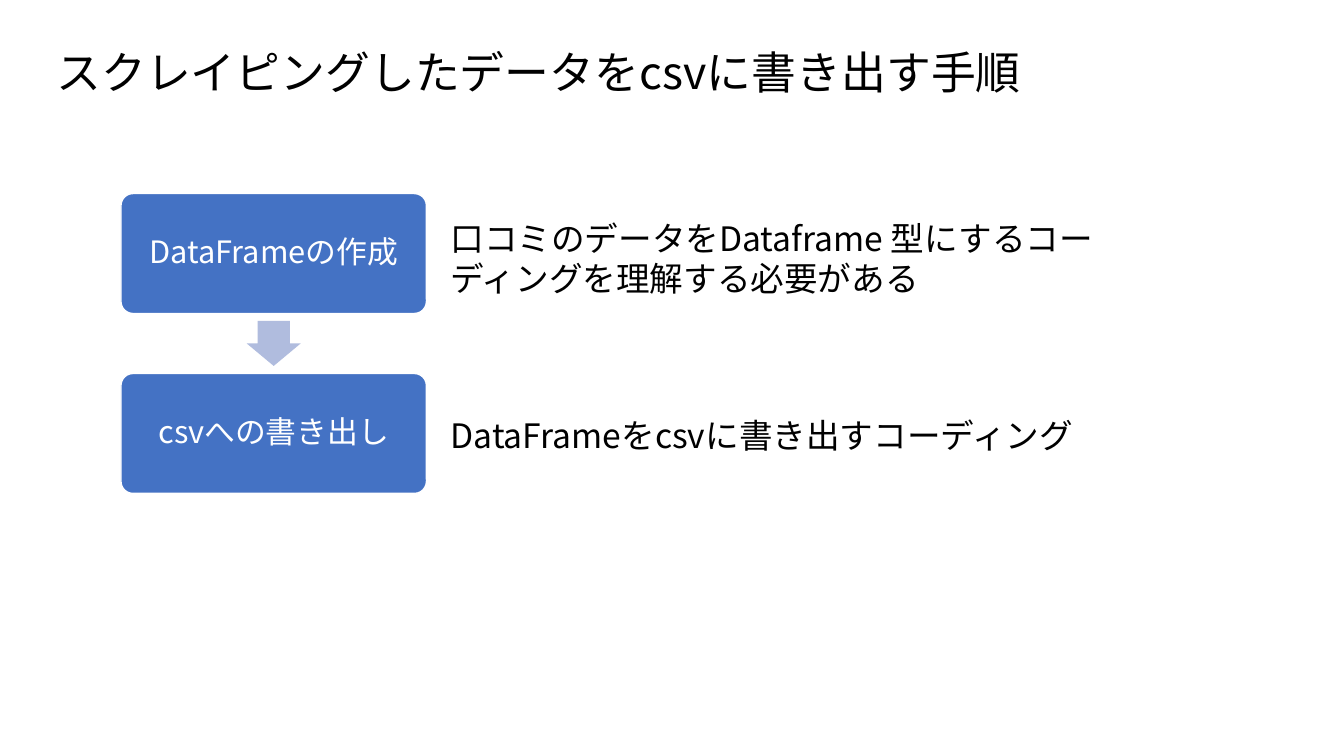
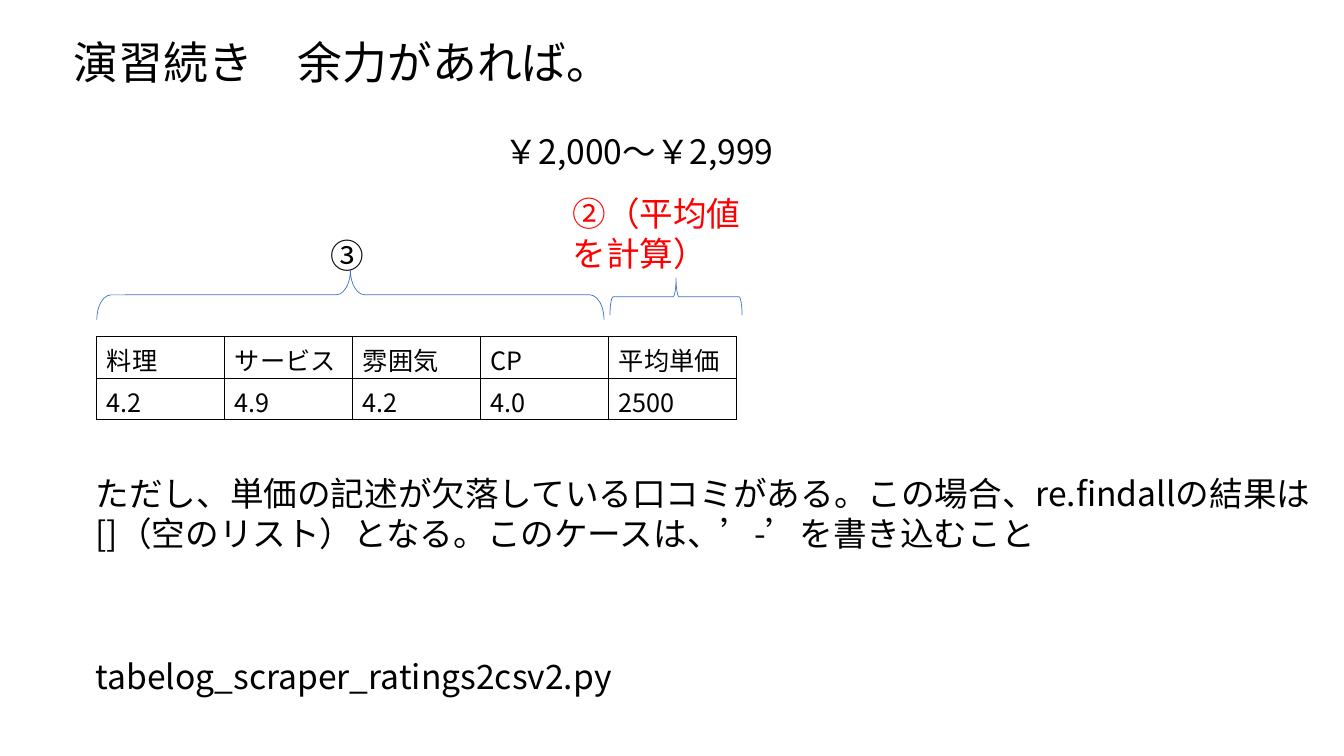
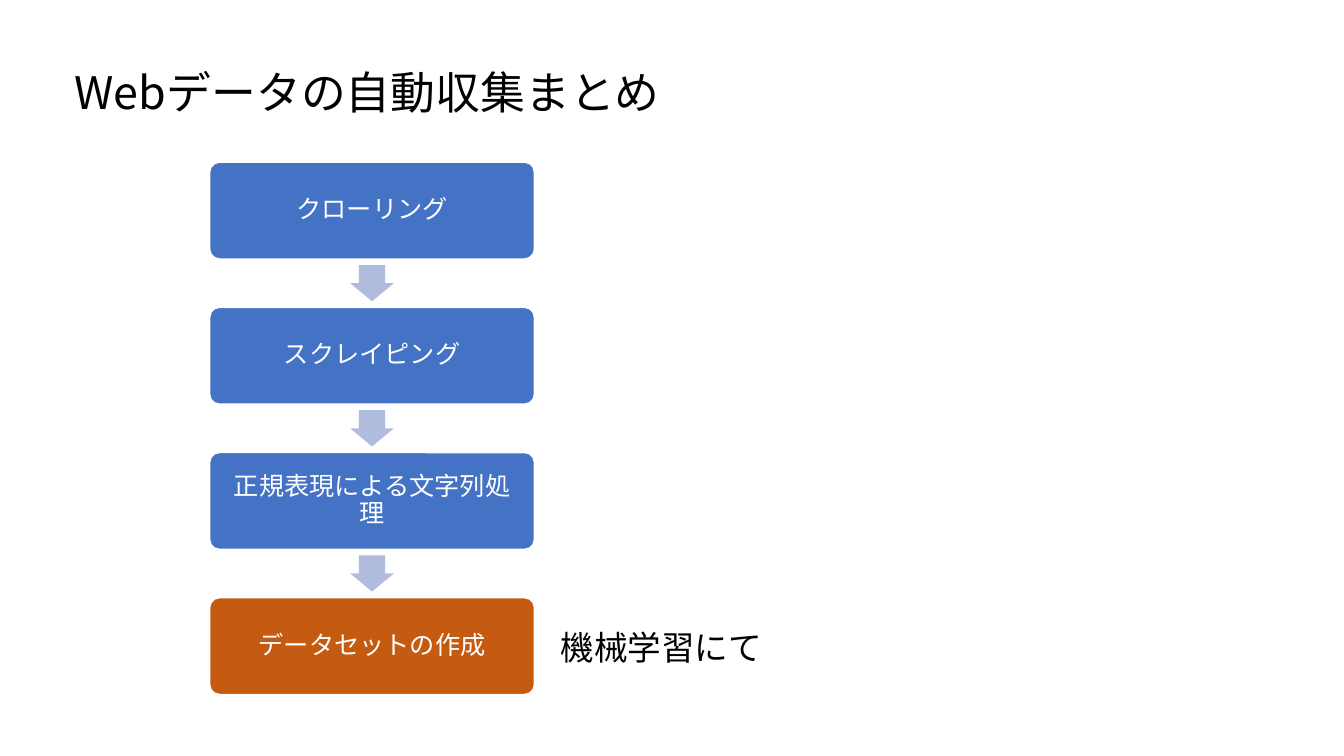
from dataclasses import dataclass

from lxml.etree import SubElement
from pptx import Presentation
from pptx.dml.color import RGBColor
from pptx.enum.shapes import MSO_SHAPE
from pptx.enum.text import MSO_ANCHOR, MSO_AUTO_SIZE, PP_ALIGN
from pptx.oxml.ns import qn
from pptx.util import Inches, Pt


@dataclass(frozen=True)
class Theme:
    font: str = "Noto Sans CJK JP"
    ink: str = "000000"
    paper: str = "FFFFFF"
    step: str = "4472C4"
    final_step: str = "C55A11"
    arrow: str = "B0BCDE"
    accent: str = "FF0000"
    title_size: int = 32
    note_size: int = 24
    table_size: int = 18


def assign(target, values):
    for name, value in values.items():
        setattr(target, name, value)


class Deck:
    def __init__(self, theme):
        self.theme = theme
        self.presentation = Presentation()
        self.presentation.slide_width = Inches(13.33)
        self.presentation.slide_height = Inches(7.5)
        self.slide = None

    def fill_text(self, frame, text, size, color, **paragraph_format):
        frame.text = text
        for paragraph in frame.paragraphs:
            assign(paragraph, paragraph_format)
            for run in paragraph.runs:
                assign(run.font, {"name": self.theme.font, "size": Pt(size), "bold": False})
                run.font.color.rgb = RGBColor.from_string(color)
                east_asian = SubElement(run.font._element, qn("a:ea"))
                east_asian.set("typeface", self.theme.font)

    def text_block(self, holder, text, size, color):
        frame = holder.text_frame
        self.fill_text(frame, text, size, color, alignment=PP_ALIGN.LEFT)
        assign(frame, {
            "word_wrap": True,
            "auto_size": MSO_AUTO_SIZE.NONE,
            "vertical_anchor": MSO_ANCHOR.TOP,
        })

    def add_slide(self, title, left, top, width):
        self.slide = self.presentation.slides.add_slide(self.presentation.slide_layouts[5])
        heading = self.slide.shapes.title
        assign(heading, {
            "left": Inches(left), "top": Inches(top),
            "width": Inches(width), "height": Inches(0.64),
        })
        self.text_block(heading, title, self.theme.title_size, self.theme.ink)

    def note(self, text, left, top, width, height=0.5, color=None):
        box = self.slide.shapes.add_textbox(Inches(left), Inches(top), Inches(width), Inches(height))
        self.text_block(box, text, self.theme.note_size, color or self.theme.ink)

    def outline(self, preset, left, top, width, height, adjustments=(), fill=None, line=None, weight=1):
        shape = self.slide.shapes.add_shape(
            preset, Inches(left), Inches(top), Inches(width), Inches(height))
        shape.shadow.inherit = False
        for index, value in enumerate(adjustments):
            shape.adjustments[index] = value
        if fill:
            shape.fill.solid()
            shape.fill.fore_color.rgb = RGBColor.from_string(fill)
        else:
            shape.fill.background()
        if line:
            shape.line.color.rgb = RGBColor.from_string(line)
            shape.line.width = Pt(weight)
        else:
            shape.line.fill.background()
        return shape

    def card(self, text, left, top, width, height, size, fill):
        card = self.outline(MSO_SHAPE.ROUNDED_RECTANGLE, left, top, width, height,
                            [0.1], fill, self.theme.paper)
        frame = card.text_frame
        assign(frame, {
            "word_wrap": True,
            "vertical_anchor": MSO_ANCHOR.MIDDLE,
            "margin_left": Inches(0.1),
            "margin_right": Inches(0.1),
        })
        self.fill_text(frame, text, size, self.theme.paper,
                       alignment=PP_ALIGN.CENTER, line_spacing=0.9)

    def flow(self, steps, left, top, width, height, size):
        arrow_width, arrow_height = 0.45 * height, 0.375 * height
        for index, (text, fill) in enumerate(steps):
            card_top = top + index * 1.5 * height
            if index:
                self.outline(MSO_SHAPE.DOWN_ARROW, left + (width - arrow_width) / 2,
                             card_top - 0.25 * height - arrow_height / 2,
                             arrow_width, arrow_height, [0.6, 0.5], self.theme.arrow)
            self.card(text, left, card_top, width, height, size, fill)

    def brace(self, left, top, width, height, adjustments=()):
        shift = (width - height) / 2
        brace = self.outline(MSO_SHAPE.LEFT_BRACE, left + shift, top - shift, height, width,
                             adjustments, line=self.theme.step, weight=0.5)
        brace.rotation = 90

    def border(self, cell):
        properties = cell._tc.get_or_add_tcPr()
        for side in ("a:lnL", "a:lnR", "a:lnT", "a:lnB"):
            edge = SubElement(properties, qn(side), w=str(Pt(1)))
            fill = SubElement(edge, qn("a:solidFill"))
            SubElement(fill, qn("a:srgbClr"), val=self.theme.ink)

    def table(self, rows, left, top, column_width, row_height):
        table = self.slide.shapes.add_table(
            len(rows), len(rows[0]), Inches(left), Inches(top),
            Inches(column_width * len(rows[0])), Inches(row_height * len(rows))).table
        assign(table, {"first_row": False, "horz_banding": False})
        for column in table.columns:
            column.width = Inches(column_width)
        for row, values in zip(table.rows, rows):
            row.height = Inches(row_height)
            for cell, value in zip(row.cells, values):
                self.fill_text(cell.text_frame, value, self.theme.table_size, self.theme.ink)
                cell.margin_bottom = 0
                self.border(cell)
                cell.fill.background()


def main():
    theme = Theme()
    deck = Deck(theme)

    deck.add_slide("スクレイピングしたデータをcsvに書き出す手順", 0.46, 0.39, 9.88)
    export_steps = [(text, theme.step) for text in ("DataFrameの作成", "csvへの書き出し")]
    deck.flow(export_steps, 1.2, 1.92, 3.03, 1.19, 22)
    deck.note("口コミのデータをDataframe 型にするコーディングを理解する必要がある", 4.37, 2.11, 6.88, 0.91)
    deck.note("DataFrameをcsvに書き出すコーディング", 4.37, 4.07, 6.58)

    deck.add_slide("演習続き　余力があれば。", 0.63, 0.29, 5.59)
    ratings = [
        ("料理", "サービス", "雰囲気", "CP", "平均単価"),
        ("4.2", "4.9", "4.2", "4.0", "2500"),
    ]
    deck.table(ratings, 0.96, 3.34, 1.27, 0.41)
    deck.note("②（平均値\nを計算）", 5.58, 1.86, 1.88, 0.91, theme.accent)
    deck.note("③", 3.18, 2.28, 0.54)
    deck.brace(0.96, 2.68, 5.03, 0.49, [0.29, 0.5])
    deck.brace(6.05, 2.76, 1.31, 0.37)
    deck.note("tabelog_scraper_ratings2csv2.py", 0.85, 6.46, 5.62)
    deck.note("￥2,000～￥2,999", 4.91, 1.25, 3.23)
    deck.note("ただし、単価の記述が欠落している口コミがある。この場合、re.findallの結果は\n"
              "[]（空のリスト）となる。このケースは、’-’を書き込むこと", 0.85, 4.64, 12.41, 0.91)

    deck.add_slide("Webデータの自動収集まとめ", 0.64, 0.59, 6.1)
    collection_steps = [
        ("クローリング", theme.step),
        ("スクレイピング", theme.step),
        ("正規表現による文字列処理", theme.step),
        ("データセットの作成", theme.final_step),
    ]
    deck.flow(collection_steps, 2.08, 1.61, 3.22, 0.96, 18)
    deck.note("機械学習にて", 5.46, 6.17, 2.22)

    deck.presentation.save("out.pptx")


if __name__ == "__main__":
    main()
